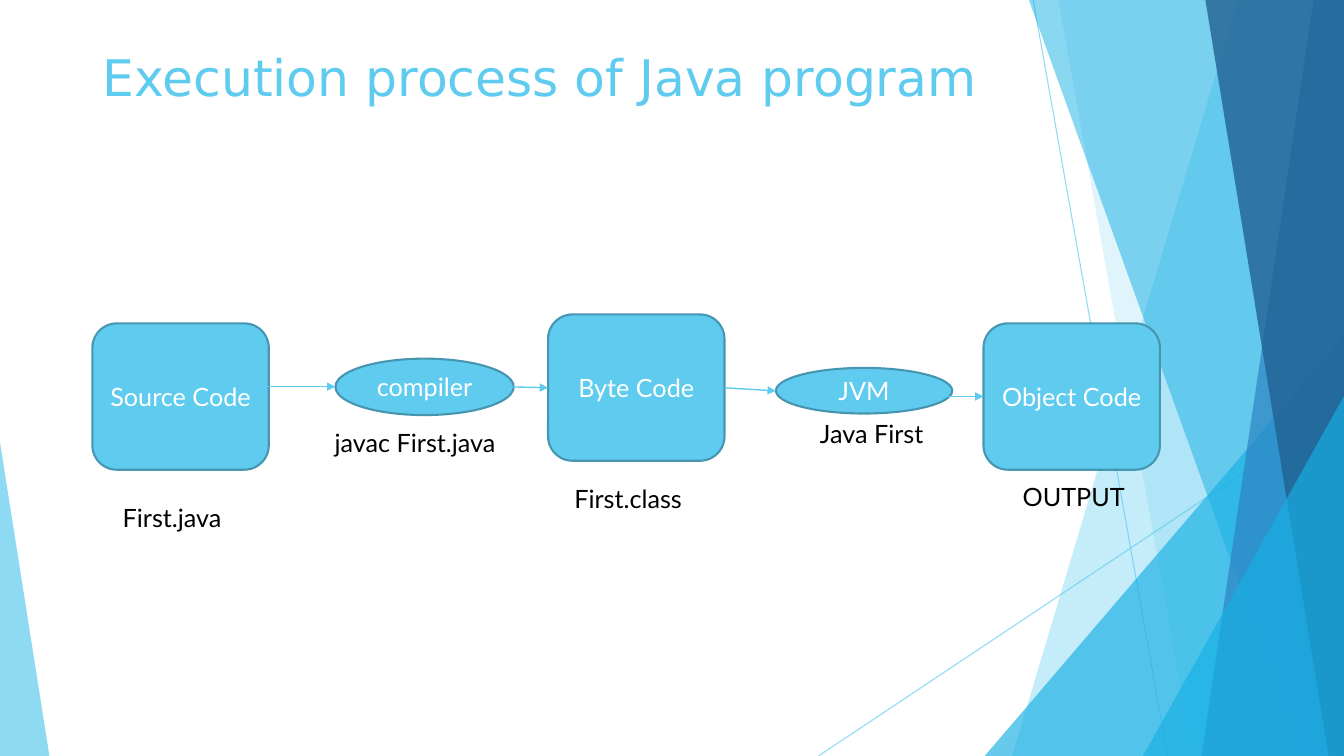
from pptx import Presentation
from pptx.dml.color import RGBColor
from pptx.enum.shapes import MSO_CONNECTOR, MSO_SHAPE
from pptx.enum.text import MSO_ANCHOR, PP_ALIGN
from pptx.oxml.ns import qn
from pptx.util import Pt
from lxml import etree

STRAIGHT = MSO_CONNECTOR.STRAIGHT
BOX, OVAL, TRIANGLE = MSO_SHAPE.ROUNDED_RECTANGLE, MSO_SHAPE.OVAL, MSO_SHAPE.ISOSCELES_TRIANGLE
TOP, MIDDLE = MSO_ANCHOR.TOP, MSO_ANCHOR.MIDDLE
LEFT, CENTER = PP_ALIGN.LEFT, PP_ALIGN.CENTER

COLORS = {"sky": "5FCBEF", "cyan": "17B0E4", "blue": "2E83C3", "navy": "226292",
          "outline": "4696B1", "white": "FFFFFF", "black": "000000"}
WIDTH, HEIGHT = 960, 540
TITLE_FONT, BODY_FONT = "DejaVu Sans", "Lato"


def rgb(color):
    return RGBColor.from_string(COLORS[color])


def set_opacity(element, percent):
    for srgb in element.iter(qn("a:srgbClr")):
        etree.SubElement(srgb, qn("a:alpha")).set("val", str(percent * 1000))


def write(frame, text, font, size, color, align, anchor):
    frame.text = text
    frame.word_wrap = True
    frame.vertical_anchor = anchor
    paragraph = frame.paragraphs[0]
    paragraph.alignment = align
    run_font = paragraph.runs[0].font
    run_font.name, run_font.size = font, Pt(size)
    run_font.color.rgb = rgb(color)


def paint_facet(facet, color, opacity):
    facet.shadow.inherit = False
    facet.fill.solid()
    facet.fill.fore_color.rgb = rgb(color)
    facet.line.fill.background()
    set_opacity(facet.fill._xPr, opacity)


def add_band(slide, top_x, bottom_x, color, opacity):
    """Facet from a slanted left side to the right slide edge."""
    builder = slide.shapes.build_freeform(Pt(top_x), 0)
    builder.add_line_segments([(Pt(WIDTH), 0), (Pt(WIDTH), Pt(HEIGHT)),
                               (Pt(bottom_x), Pt(HEIGHT))])
    paint_facet(builder.convert_to_shape(), color, opacity)


def add_corner(slide, left, top, width, apex, color, opacity):
    """Right-angled triangle standing on the bottom slide edge."""
    corner = slide.shapes.add_shape(TRIANGLE, Pt(left), Pt(top), Pt(width), Pt(HEIGHT - top))
    corner.adjustments[0] = apex
    paint_facet(corner, color, opacity)


def add_line(slide, start, end, weight):
    line = slide.shapes.add_connector(STRAIGHT, *map(Pt, start + end))
    line.line.color.rgb = rgb("sky")
    line.line.width = Pt(weight)
    etree.SubElement(line._element.spPr, qn("a:effectLst"))
    return line


def add_arrow(slide, start, end):
    arrow = add_line(slide, start, end, 1)
    etree.SubElement(arrow.line._get_or_add_ln(), qn("a:tailEnd")).set("type", "triangle")


def add_step(slide, kind, text, left, top, width, height):
    step = slide.shapes.add_shape(kind, Pt(left), Pt(top), Pt(width), Pt(height))
    step.shadow.inherit = False
    step.fill.solid()
    step.fill.fore_color.rgb = rgb("sky")
    step.line.color.rgb = rgb("outline")
    step.line.width = Pt(1.5)
    write(step.text_frame, text, BODY_FONT, 18, "white", CENTER, MIDDLE)


def add_caption(slide, text, left, top, width=106):
    caption = slide.shapes.add_textbox(Pt(left), Pt(top), Pt(width), Pt(29))
    write(caption.text_frame, text, BODY_FONT, 18, "black", LEFT, TOP)


def add_title(slide, text):
    title = slide.shapes.title
    title.left, title.top, title.width, title.height = Pt(66), Pt(29.5), Pt(828), Pt(104.4)
    write(title.text_frame, text, TITLE_FONT, 36, "sky", LEFT, TOP)


def add_backdrop(slide):
    for start, end in [((738, 0), (834, HEIGHT)), ((WIDTH, 290), (584.6, HEIGHT))]:
        ray = add_line(slide, start, end, 0.75)
        set_opacity(ray.line._get_or_add_ln(), 70)
    add_band(slide, 884.2, 723, "sky", 36)
    add_band(slide, 756, 852, "sky", 20)
    add_corner(slide, 703.4, 240, 256.6, 1, "cyan", 66)
    add_band(slide, 735, 929.5, "cyan", 50)
    add_band(slide, 938.2, 858.2, "blue", 70)
    add_band(slide, 861, 949, "navy", 80)
    add_corner(slide, 816.5, 283, 143.5, 1, "cyan", 66)
    add_corner(slide, 0, 316, 35.3, 0, "sky", 70)


def main():
    prs = Presentation()
    prs.slide_width, prs.slide_height = Pt(WIDTH), Pt(HEIGHT)
    slide = prs.slides.add_slide(prs.slide_layouts[5])

    # Backdrop and title
    add_backdrop(slide)
    add_title(slide, "Execution process of Java program")
    # Code stages
    for text, left, top in [("Source Code", 66, 231), ("Object Code", 702.5, 231),
                            ("Byte Code", 391.5, 224.6)]:
        add_step(slide, BOX, text, left, top, 126, 104.5)
    # Tools between the stages
    add_step(slide, OVAL, "compiler", 239.6, 256.2, 127.4, 40.3)
    add_step(slide, OVAL, "JVM", 554.2, 262.8, 126, 32.6)
    # Flow
    for start, end in [((186, 276.2), (239.6, 276.2)), ((366.6, 276.4), (391.5, 277)),
                       ((517.5, 277), (554.2, 279.2)), ((666, 283.2), (702.5, 283.2))]:
        add_arrow(slide, start, end)
    # Files and commands
    add_caption(slide, "First.java", 80.6, 355)
    add_caption(slide, "javac First.java", 232, 301.5, 134.6)
    add_caption(slide, "First.class", 403.2, 342)
    add_caption(slide, "Java First", 578.6, 295)
    add_caption(slide, "OUTPUT", 723.4, 340.4)

    prs.save("out.pptx")


if __name__ == "__main__":
    main()
